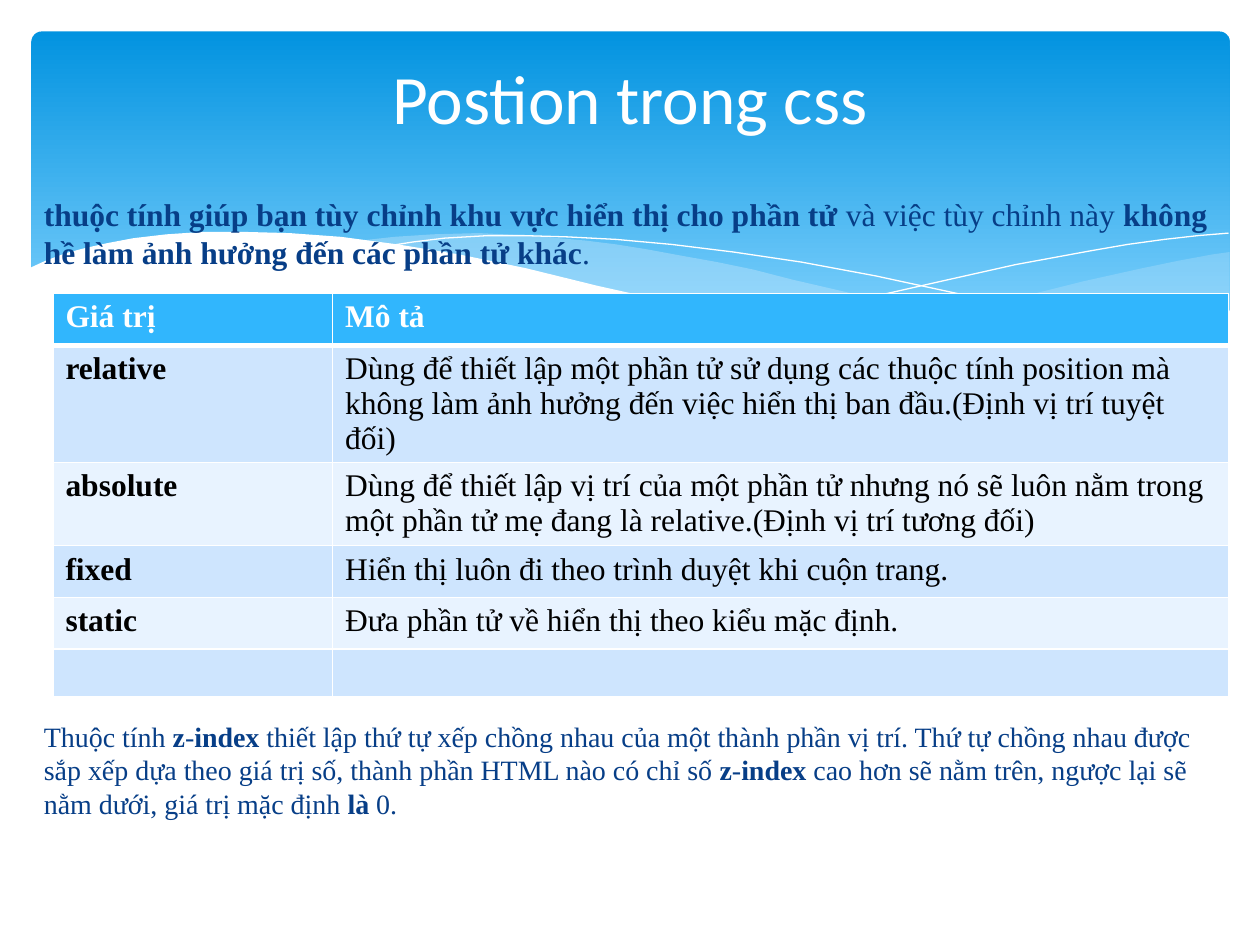
from lxml import etree
from pptx import Presentation
from pptx.dml.color import RGBColor as RGB
from pptx.enum.shapes import MSO_SHAPE as SHAPE
from pptx.enum.text import MSO_ANCHOR as ANCHOR, PP_ALIGN as ALIGN
from pptx.oxml import parse_xml
from pptx.oxml.ns import nsdecls, qn
from pptx.util import Inches, Pt

COLORS = {
    "sky_top": "0293E0", "sky_bottom": "83D3FE", "mist": "C6E7FC",
    "white": "FFFFFF", "black": "000000", "navy": "073E87",
    "header": "31B6FD", "odd": "CEE5FE", "even": "E8F3FF",
}

RIGHT_MIST = [
    (9.76, 2), (9.62, 2.02), (9.35, 2.07), (9.06, 2.13), (8.61, 2.23), (8.05, 2.37),
    (7.53, 2.48), (7.06, 2.57), (6.61, 2.65), (6.91, 2.69), (7.32, 2.74), (7.69, 2.77),
    (8.14, 2.78), (8.54, 2.76), (8.89, 2.72), (9.21, 2.65), (9.49, 2.57), (9.76, 2.47),
]
CENTER_MIST = [
    (8.93, 2.73), (8.66, 2.69), (8.37, 2.65), (8.07, 2.6), (7.75, 2.54), (7.41, 2.47),
    (7.06, 2.4), (6.68, 2.31), (6.29, 2.22), (5.98, 2.14), (5.69, 2.08), (5.41, 2.03),
    (5.14, 1.98), (4.89, 1.94), (4.65, 1.91), (4.2, 1.87), (3.8, 1.85), (3.44, 1.86),
    (3.13, 1.88), (2.86, 1.91), (3.23, 1.96), (3.62, 2.03), (4.04, 2.11), (4.49, 2.22),
    (4.91, 2.32), (5.3, 2.4), (5.66, 2.48), (6.01, 2.55), (6.34, 2.61), (6.65, 2.66),
    (6.95, 2.7), (7.22, 2.74), (7.48, 2.76), (7.73, 2.77), (8.07, 2.78), (8.38, 2.78),
    (8.67, 2.76),
]
FALLING_CREST = [
    (3.09, 1.95), (3.28, 1.92), (3.53, 1.89), (3.87, 1.87), (4.16, 1.87), (4.5, 1.88),
    (4.89, 1.9), (5.33, 1.94), (5.82, 2), (6.36, 2.08), (6.95, 2.19), (7.6, 2.33),
    (8.31, 2.51), (9.07, 2.72),
]
RISING_CREST = [
    (6.13, 2.57), (6.53, 2.46), (6.95, 2.35), (7.48, 2.23), (8.06, 2.1), (8.66, 1.99),
    (8.95, 1.94), (9.24, 1.9), (9.51, 1.87), (9.75, 1.85),
]
WHITE_WAVE = [
    (9.77, 2.46), (9.59, 2.53), (9.4, 2.59), (9.2, 2.65), (8.99, 2.69), (8.75, 2.73),
    (8.5, 2.75), (8.09, 2.77), (7.78, 2.76), (7.44, 2.74), (7.08, 2.7), (6.68, 2.65),
    (6.26, 2.58), (5.79, 2.5), (5.29, 2.39), (4.75, 2.27), (4.18, 2.13), (3.65, 2.02),
    (3.16, 1.94), (2.71, 1.88), (2.3, 1.85), (1.93, 1.84), (1.61, 1.84), (1.32, 1.86),
    (1.06, 1.89), (0.85, 1.93), (0.67, 1.97), (0.52, 2.01), (0.36, 2.07), (0.23, 2.13),
    (0.23, 3.29), (9.77, 3.29),
]

INTRO = ("**thuộc tính giúp bạn tùy chỉnh khu vực hiển thị cho phần tử** và việc tùy chỉnh này"
         "** không hề làm ảnh hưởng đến các phần tử khác**.")
Z_INDEX = ("Thuộc tính **z**-**index** thiết lập thứ tự xếp chồng nhau của một thành phần vị trí. "
           "Thứ tự chồng nhau được sắp xếp dựa theo giá trị số, thành phần HTML nào có chỉ số "
           "**z**-**index** cao hơn sẽ nằm trên, ngược lại sẽ nằm dưới, giá trị mặc định **là** 0.")
POSITIONS = [
    ("**Giá trị**", "**Mô tả**"),
    ("**relative**", "Dùng để thiết lập một phần tử sử dụng các thuộc tính position mà không làm "
     "ảnh hưởng đến việc hiển thị ban đầu.(Định vị trí tuyệt đối)"),
    ("**absolute**", "Dùng để thiết lập vị trí của một phần tử nhưng nó sẽ luôn nằm trong một "
     "phần tử mẹ đang là relative.(Định vị trí tương đối)"),
    ("**fixed**", "Hiển thị luôn đi theo trình duyệt khi cuộn trang."),
    ("**static**", "Đưa phần tử về hiển thị theo kiểu mặc định."),
    ("", ""),
]


class WaveSlide:
    serif = "Times New Roman"

    def __init__(self, slide):
        self.shapes = slide.shapes

    def apply(self, target, **values):
        for name, value in values.items():
            setattr(target, name, value)

    def color(self, name):
        return RGB.from_string(COLORS[name])

    def add_runs(self, paragraph, marked, size, color, font=serif):
        for index, part in enumerate(marked.split("**")):
            if part:
                run = paragraph.add_run()
                run.text = part
                self.apply(run.font, name=font, size=Pt(size), bold=index % 2 == 1)
                run.font.color.rgb = self.color(color)

    def banner(self, left, top, width, height):
        panel = self.shapes.add_shape(SHAPE.ROUNDED_RECTANGLE, *map(Inches, (left, top, width, height)))
        panel.adjustments[0] = 0.03
        panel.shadow.inherit = False
        panel.line.fill.background()
        panel.fill.gradient()
        panel.fill.gradient_angle = 270
        for stop, color, position in zip(panel.fill.gradient_stops, ("sky_top", "sky_bottom"), (0, 0.9)):
            stop.color.rgb = self.color(color)
            stop.position = position

    def outline(self, points, closed):
        start, *rest = [(Inches(x), Inches(y)) for x, y in points]
        builder = self.shapes.build_freeform(*start)
        builder.add_line_segments(rest, close=closed)
        shape = builder.convert_to_shape()
        shape.shadow.inherit = False
        return shape

    def wave(self, points, color, opacity=100):
        shape = self.outline(points, True)
        shape.line.fill.background()
        shape.fill.solid()
        shape.fill.fore_color.rgb = self.color(color)
        if opacity < 100:
            tint = shape._element.spPr.find(".//" + qn("a:srgbClr"))
            etree.SubElement(tint, qn("a:alpha"), val=str(opacity * 1000))

    def crest(self, points):
        shape = self.outline(points, False)
        shape.fill.background()
        shape.line.color.rgb = self.color("white")
        shape.line.width = Pt(0)

    def title(self, text, left, top, width, height):
        heading = self.shapes.title
        self.apply(heading, left=Inches(left), top=Inches(top), width=Inches(width), height=Inches(height))
        self.apply(heading.text_frame, word_wrap=True, vertical_anchor=ANCHOR.MIDDLE)
        paragraph = heading.text_frame.paragraphs[0]
        paragraph.alignment = ALIGN.CENTER
        self.add_runs(paragraph, text, 39.6, "white", "Calibri")
        self.shapes._spTree.append(heading._element)

    def text(self, marked, size, left, top, width, height):
        frame = self.shapes.add_textbox(*map(Inches, (left, top, width, height))).text_frame
        frame.word_wrap = True
        self.add_runs(frame.paragraphs[0], marked, size, "navy")

    def border(self, cell, side, width):
        cell._tc.get_or_add_tcPr().append(parse_xml(
            f'<a:{side} {nsdecls("a")} w="{Pt(width)}"><a:solidFill>'
            f'<a:srgbClr val="{COLORS["white"]}"/></a:solidFill></a:{side}>'))

    def table(self, rows, left, top, widths, heights):
        frame = self.shapes.add_table(len(rows), len(widths), *map(
            Inches, (left, top, sum(widths), sum(heights))))
        grid = frame.table
        for column, width in zip(grid.columns, widths):
            column.width = Inches(width)
        for r, (row, height) in enumerate(zip(rows, heights)):
            grid.rows[r].height = Inches(height)
            fill = "header" if r == 0 else "odd" if r % 2 else "even"
            for c, marked in enumerate(row):
                cell = grid.cell(r, c)
                for side in ("lnL", "lnR", "lnT", "lnB"):
                    heavy = (r, side) in ((0, "lnB"), (1, "lnT"))
                    self.border(cell, side, 3 if heavy else 1)
                cell.fill.solid()
                cell.fill.fore_color.rgb = self.color(fill)
                paragraph = cell.text_frame.paragraphs[0]
                self.apply(paragraph.font, name=self.serif, size=Pt(18))
                self.add_runs(paragraph, marked, 18, "black" if r else "white")


def main():
    deck = Presentation()
    deck.slide_width, deck.slide_height = Inches(10), Inches(7.5)
    page = WaveSlide(deck.slides.add_slide(deck.slide_layouts[5]))
    page.banner(0.25, 0.25, 9.51, 2.7)
    page.wave(RIGHT_MIST, "mist", 29)
    page.wave(CENTER_MIST, "mist", 40)
    page.crest(FALLING_CREST)
    page.crest(RISING_CREST)
    page.wave(WHITE_WAVE, "white")
    page.text(INTRO, 18, 0.25, 1.5, 9.5, 0.75)
    page.text(Z_INDEX, 16, 0.25, 5.66, 9.5, 0.95)
    page.title("Postion trong css", 0.5, 0.37, 9, 0.8)
    page.table(POSITIONS, 0.42, 2.33, (2.22, 7.11), (0.41, 0.93, 0.66, 0.41, 0.41, 0.37))
    deck.save("out.pptx")


if __name__ == "__main__":
    main()
